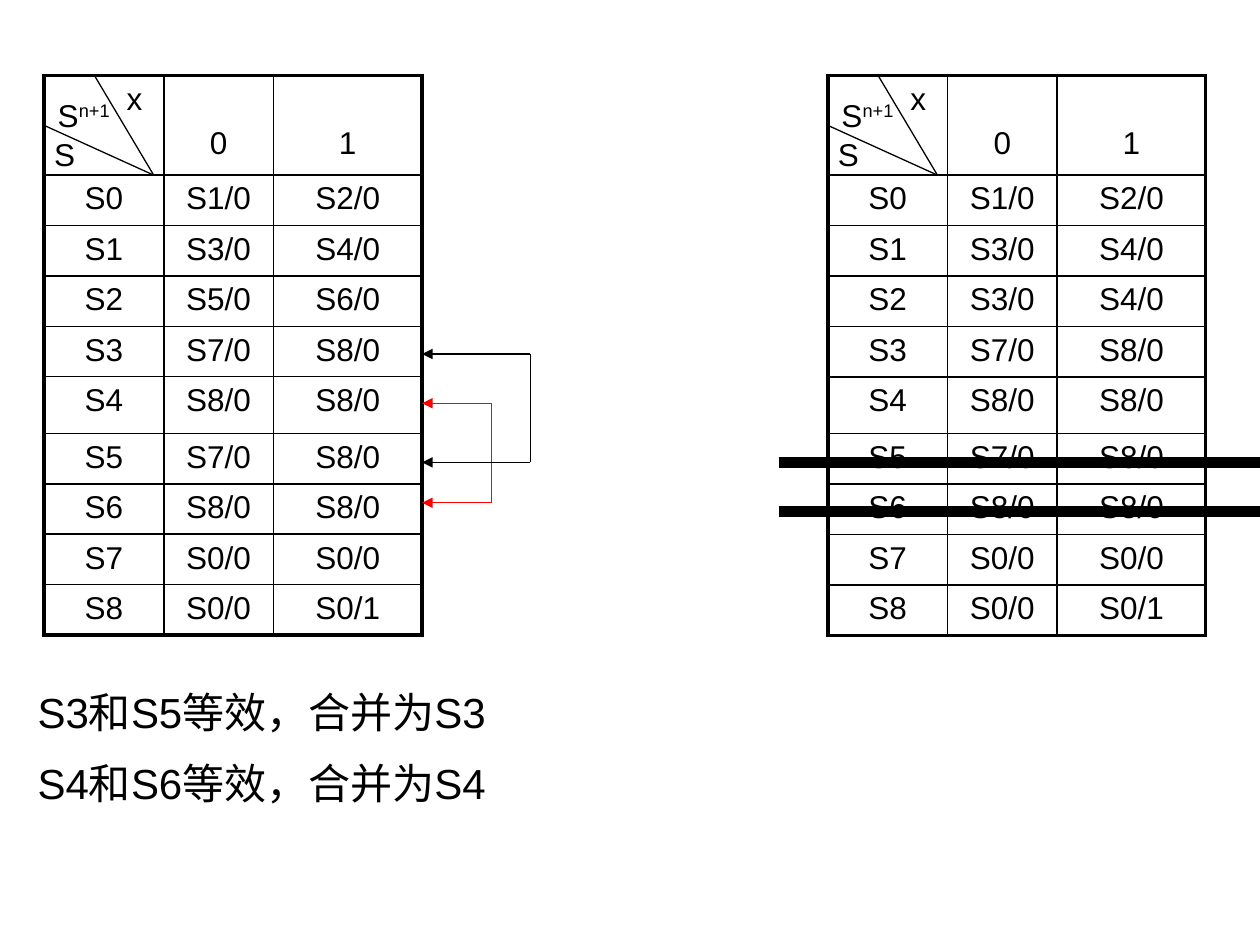
import pptx
import pptx.dml.color
import pptx.enum.shapes
import pptx.enum.text
import pptx.oxml
import pptx.oxml.ns
import pptx.util

COLORS = {"ink": "000000", "red": "FF0000"}
FONT = "Arial"
SLIDE_WIDTH, SLIDE_HEIGHT = 10, 7.5
COLUMNS = [0.95, 0.87, 1.18]
ROWS = [0.79] + [0.4] * 4 + [0.45] + [0.4] * 4
TABLE_WIDTH, TABLE_TOP = sum(COLUMNS), 0.6
THIN, THICK = 1, 2.25
ALIGN = pptx.enum.text.PP_ALIGN
ANCHOR = pptx.enum.text.MSO_ANCHOR

# Next state and output for x = 0 and x = 1, states S0 to S8
ORIGINAL_STATES = ["S1/0 S2/0", "S3/0 S4/0", "S5/0 S6/0", "S7/0 S8/0", "S8/0 S8/0",
                   "S7/0 S8/0", "S8/0 S8/0", "S0/0 S0/0", "S0/0 S0/1"]
MERGED_STATES = ORIGINAL_STATES[:2] + ["S3/0 S4/0"] + ORIGINAL_STATES[3:]


def inches(*values):
    return [pptx.util.Inches(value) for value in values]


def rgb(name):
    return pptx.dml.color.RGBColor.from_string(COLORS[name])


def write_text(paragraph, text, size=18, align=ALIGN.CENTER, superscript=False, space_before=0):
    paragraph.alignment = align
    paragraph.space_before = pptx.util.Pt(space_before)
    run = paragraph.add_run()
    run.text = text
    run.font.size = pptx.util.Pt(size)
    run.font.name = FONT
    run.font.color.rgb = rgb("ink")
    if superscript:
        run._r.get_or_add_rPr().set("baseline", "30000")


def add_line(slide, start, end, color="ink", width=0.75, arrow=False):
    connector = slide.shapes.add_connector(
        pptx.enum.shapes.MSO_CONNECTOR.STRAIGHT, *inches(*start, *end))
    connector.line.color.rgb = rgb(color)
    connector.line.width = pptx.util.Pt(width)
    if arrow:
        tail = connector.line._get_or_add_ln().makeelement(
            pptx.oxml.ns.qn("a:tailEnd"), {"type": "triangle"})
        connector.line._get_or_add_ln().append(tail)
    properties = connector._element.spPr
    properties.append(properties.makeelement(pptx.oxml.ns.qn("a:effectLst"), {}))


def set_borders(cell, **widths):
    properties = cell._tc.get_or_add_tcPr()
    for index, side in enumerate(("L", "R", "T", "B")):
        properties.insert(index, pptx.oxml.parse_xml(
            f'<a:ln{side} {pptx.oxml.ns.nsdecls("a")} w="{pptx.util.Pt(widths[side])}">'
            f'<a:solidFill><a:srgbClr val="{COLORS["ink"]}"/></a:solidFill></a:ln{side}>'))


def add_label(slide, left, top, width, height, text, superscript=None):
    box = slide.shapes.add_textbox(*inches(left, top, width, height))
    frame = box.text_frame
    frame.margin_left = frame.margin_right = frame.margin_top = frame.margin_bottom = 0
    paragraph = frame.paragraphs[0]
    write_text(paragraph, text)
    if superscript:
        write_text(paragraph, superscript, superscript=True)


def add_state_table(slide, left, top, states):
    table = slide.shapes.add_table(
        len(ROWS), len(COLUMNS), *inches(left, top, TABLE_WIDTH, sum(ROWS))).table
    table.first_row = table.horz_banding = False
    for column, width in zip(table.columns, COLUMNS):
        column.width = pptx.util.Inches(width)
    for row, height in zip(table.rows, ROWS):
        row.height = pptx.util.Inches(height)

    content = [["x", "0", "1"]]
    content += [[f"S{number}", *state.split()] for number, state in enumerate(states)]
    last_row, last_column = len(ROWS) - 1, len(COLUMNS) - 1
    for row, texts in enumerate(content):
        for column, text in enumerate(texts):
            cell = table.cell(row, column)
            cell.fill.background()
            set_borders(cell,
                        L=THICK if column == 0 else THIN,
                        R=THICK if column == last_column else THIN,
                        T=THICK if row == 0 else THIN,
                        B=THICK if row == last_row else THIN)
            write_text(cell.text_frame.paragraphs[0], text)

    # Header: x at the right of the corner, input values low in their cells
    corner = table.cell(0, 0)
    corner.text_frame.paragraphs[0].alignment = ALIGN.RIGHT
    corner.margin_right = pptx.util.Inches(0.17)
    for column in (1, 2):
        cell = table.cell(0, column)
        cell.vertical_anchor = ANCHOR.BOTTOM
        cell.margin_bottom = pptx.util.Inches(0.11)

    # Corner divided in three
    meeting = (left + 0.87, top + ROWS[0])
    add_line(slide, (left, top + ROWS[0] / 2), meeting)
    add_line(slide, (left + 0.4, top), meeting)
    add_label(slide, left + 0.08, top + 0.16, 0.47, 0.3, "S", superscript="n+1")
    add_label(slide, left + 0.08, top + 0.47, 0.16, 0.3, "S")


def add_bracket(slide, left, top, width, height, color):
    """Joins two equivalent rows, with an arrow to each."""
    right, bottom = left + width, top + height
    for y in (top, bottom):
        add_line(slide, (right, y), (left, y), color, arrow=True)
    add_line(slide, (right, top), (right, bottom), color)


def add_conclusions(slide, left, top, width, height, lines):
    frame = slide.shapes.add_textbox(*inches(left, top, width, height)).text_frame
    frame.word_wrap = True
    for index, line in enumerate(lines):
        paragraph = frame.add_paragraph() if index else frame.paragraphs[0]
        write_text(paragraph, line, size=24, align=ALIGN.LEFT, space_before=12 if index else 0)


def main():
    presentation = pptx.Presentation()
    presentation.slide_width, presentation.slide_height = inches(SLIDE_WIDTH, SLIDE_HEIGHT)
    slide = presentation.slides.add_slide(presentation.slide_layouts[6])

    # Original state table, with its equivalent rows joined
    left = 0.35
    add_state_table(slide, left, TABLE_TOP, ORIGINAL_STATES)
    add_bracket(slide, left + TABLE_WIDTH, 3.2, 0.55, 0.79, "red")
    add_bracket(slide, left + TABLE_WIDTH, 2.81, 0.86, 0.86, "ink")
    add_conclusions(slide, 0.2, 5.4, 3.78, 1.1,
                    ["S3和S5等效，合并为S3", "S4和S6等效，合并为S4"])

    # Merged state table, with the redundant rows struck out
    left = 6.57
    add_state_table(slide, left, TABLE_TOP, MERGED_STATES)
    for y in (3.67, 4.06):
        add_line(slide, (left - 0.39, y), (SLIDE_WIDTH, y), width=6)

    presentation.save("out.pptx")


if __name__ == "__main__":
    main()
